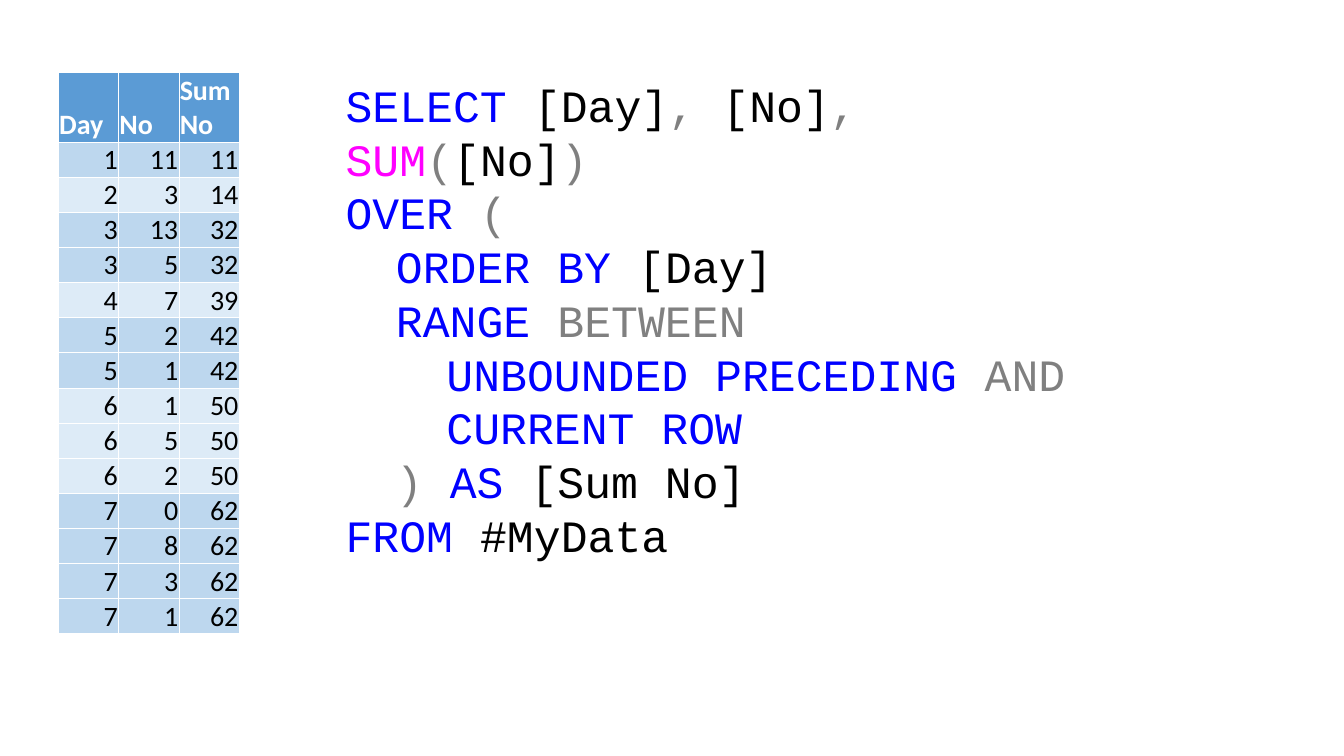
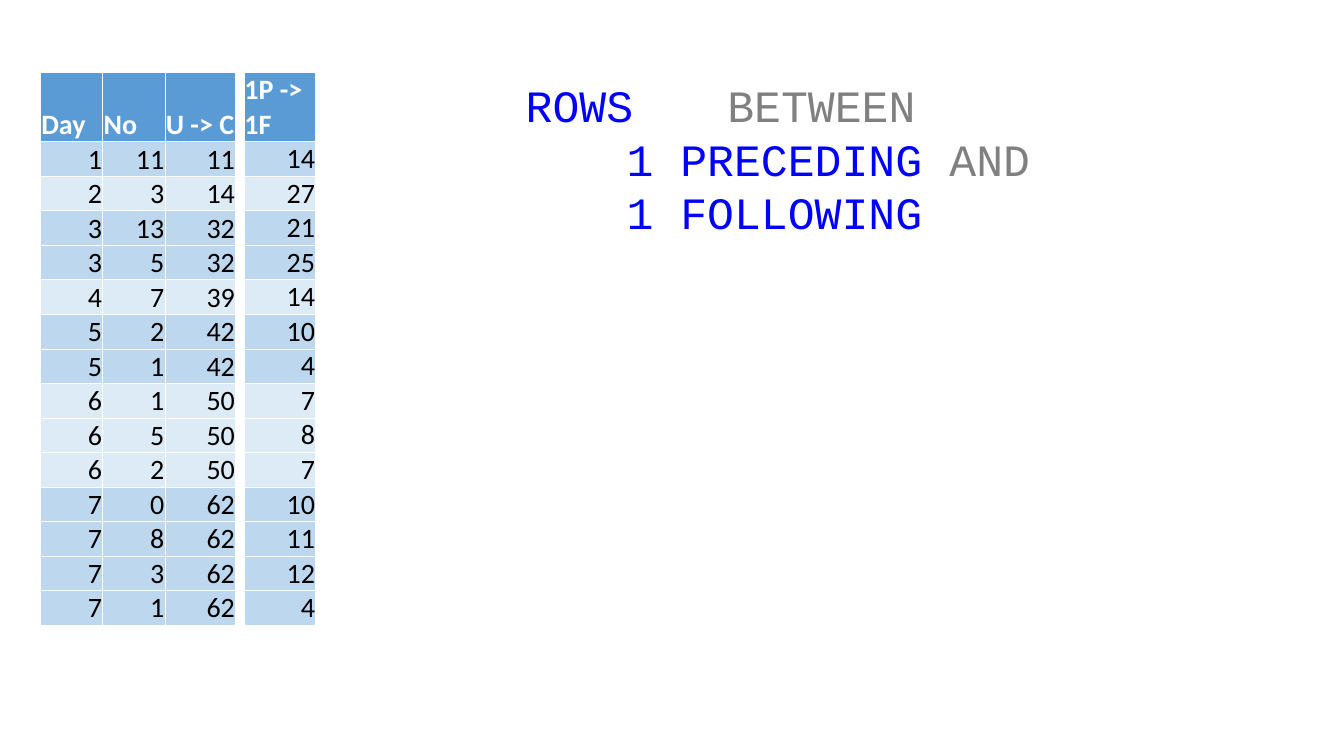
from lxml.etree import SubElement
from pptx import Presentation
from pptx.dml.color import RGBColor
from pptx.enum.text import MSO_ANCHOR, MSO_AUTO_SIZE, PP_ALIGN
from pptx.oxml.ns import qn
from pptx.util import Cm, Pt

# Shared data: one row per record, running total by day
DAYS = [1, 2, 3, 3, 4, 5, 5, 6, 6, 6, 7, 7, 7, 7]
NUMBERS = [11, 3, 13, 5, 7, 2, 1, 1, 5, 2, 0, 8, 3, 1]
TOTALS = [sum(n for d, n in zip(DAYS, NUMBERS) if d <= day) for day in DAYS]
NEIGHBOURS = [sum(NUMBERS[max(i - 1, 0):i + 2]) for i in range(len(NUMBERS))]

# Syntax colours
KEYWORD, FUNCTION, OPERATOR, NAME = "0000FF", "FF00FF", "808080", "000000"


def rgb(value):
    return RGBColor.from_string(value)


class Deck:
    WHITE, BLACK = "FFFFFF", "000000"
    HEADER, ODD_DAY, EVEN_DAY = "5B9BD5", "BDD7EE", "DDEBF7"
    TOP, ROW, HEADER_ROW = 1.83, 0.87, 1.74

    def __init__(self):
        self.prs = Presentation()
        self.prs.slide_width, self.prs.slide_height = Cm(33.87), Cm(19.05)
        self.s = None

    def slide(self):
        self.s = self.prs.slides.add_slide(self.prs.slide_layouts[6])

    def run(self, p, text, font, size, color, bold=False):
        r = p.add_run()
        r.text = text
        r.font.name, r.font.size, r.font.bold = font, Pt(size), bold
        r.font.color.rgb = rgb(color)

    def cell(self, cell, text, fill, inset, header):
        tcPr = cell._tc.get_or_add_tcPr()
        for side in ("lnL", "lnR", "lnT", "lnB"):
            ln = SubElement(tcPr, qn(f"a:{side}"), w=str(Pt(0.5)))
            SubElement(SubElement(ln, qn("a:solidFill")), qn("a:srgbClr"), val=self.WHITE)
        cell.fill.solid()
        cell.fill.fore_color.rgb = rgb(fill)
        cell.vertical_anchor = MSO_ANCHOR.BOTTOM
        cell.margin_left = cell.margin_right = cell.margin_top = Cm(inset)
        cell.margin_bottom = 0
        p = cell.text_frame.paragraphs[0]
        p.alignment = PP_ALIGN.LEFT if header else PP_ALIGN.RIGHT
        for i, line in enumerate(text.split("\n")):
            if i:
                p.add_line_break()
            self.run(p, line, "Calibri", 20, self.WHITE if header else self.BLACK, header)

    def table(self, left, widths, columns, inset=0.02):
        """columns maps each heading to its values; rows are shaded by day."""
        rows = [list(columns), *zip(*columns.values())]
        height = self.HEADER_ROW + self.ROW * (len(rows) - 1)
        table = self.s.shapes.add_table(len(rows), len(widths), Cm(left), Cm(self.TOP),
                                        Cm(sum(widths)), Cm(height)).table
        table.horz_banding = False
        for column, width in zip(table.columns, widths):
            column.width = Cm(width)
        fills = [self.HEADER] + [self.ODD_DAY if d % 2 else self.EVEN_DAY for d in DAYS]
        for i, (values, fill) in enumerate(zip(rows, fills)):
            table.rows[i].height = Cm(self.ROW if i else self.HEADER_ROW)
            for j, value in enumerate(values):
                self.cell(table.cell(i, j), str(value), fill, inset, i == 0)

    def code(self, left, width, height, lines):
        """Each line is a list of (text, colour) runs."""
        tf = self.s.shapes.add_textbox(Cm(left), Cm(self.TOP), Cm(width), Cm(height)).text_frame
        tf.word_wrap = True
        tf.auto_size = MSO_AUTO_SIZE.SHAPE_TO_FIT_TEXT
        for i, line in enumerate(lines):
            p = tf.add_paragraph() if i else tf.paragraphs[0]
            for text, color in line:
                self.run(p, text, "Courier New", 32, color)


def main():
    deck = Deck()

    # Slide 1: running total with RANGE
    deck.slide()
    deck.table(1.47, [1.52] * 3, {"Day": DAYS, "No": NUMBERS, "Sum\nNo": TOTALS})
    deck.code(8.46, 23.93, 12.57, [
        [("SELECT", KEYWORD), (" [Day]", NAME), (",", OPERATOR), (" [No]", NAME), (",", OPERATOR)],
        [("SUM", FUNCTION), ("(", OPERATOR), ("[No]", NAME), (")", OPERATOR)],
        [("OVER ", KEYWORD), ("(", OPERATOR)],
        [("\tORDER BY", KEYWORD), (" [Day]", NAME)],
        [("\tRANGE ", KEYWORD), ("BETWEEN", OPERATOR)],
        [("\t\tUNBOUNDED PRECEDING ", KEYWORD), ("AND", OPERATOR)],
        [("\t\tCURRENT ROW", KEYWORD)],
        [("\t) ", OPERATOR), ("AS", KEYWORD), (" [Sum No]", NAME)],
        [("FROM", KEYWORD), (" #MyData", NAME)],
    ])

    # Slide 2: sliding window with ROWS
    deck.slide()
    deck.table(1.02, [1.57, 1.57, 1.78], {"Day": DAYS, "No": NUMBERS, "U -> C": TOTALS})
    deck.code(13, 18.16, 5.74, [
        [("ROWS\t\t", KEYWORD), ("BETWEEN", OPERATOR)],
        [("\t\t1 PRECEDING ", KEYWORD), ("AND", OPERATOR)],
        [("\t\t1 FOLLOWING", KEYWORD)],
    ])
    deck.table(6.15, [1.8], {"1P -> 1F": NEIGHBOURS}, inset=0.01)

    deck.prs.save("out.pptx")


if __name__ == "__main__":
    main()
